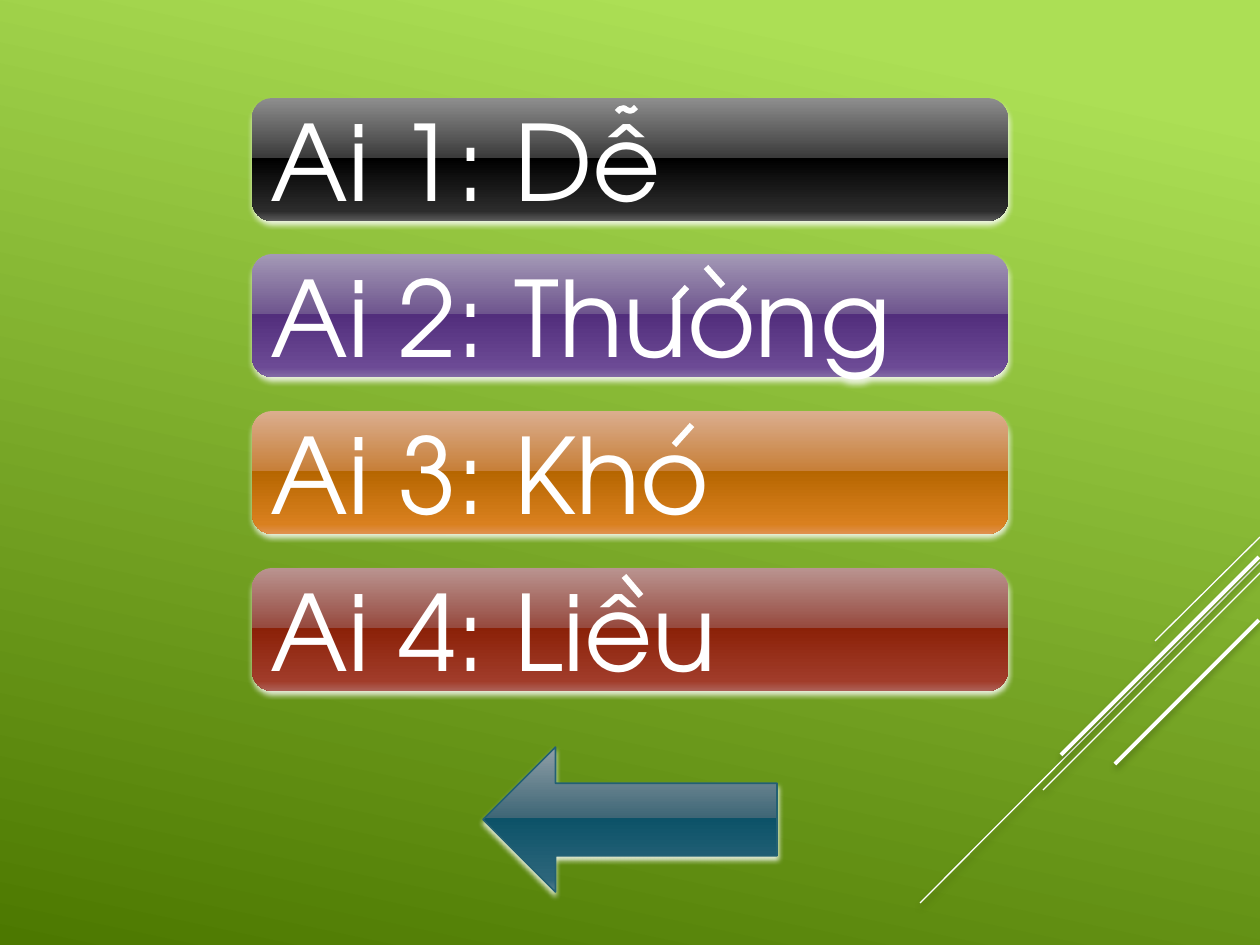
from typing import NamedTuple

from lxml import etree
from pptx import Presentation
from pptx import util as u
from pptx.dml.color import RGBColor
from pptx.enum import shapes, text
from pptx.oxml.ns import qn

PX = 914400 / 126
FONT = "TeX Gyre Adventor"
WHITE = "FFFFFF"
GLOSS_STOPS = (0, 49, 49, 92, 100)


class Level(NamedTuple):
    label: str
    top: int
    gloss: str


class Stroke(NamedTuple):
    points: list
    weight: float


LEVELS = [
    Level("Ai 1: Dê", 98, "8E8E8E 3A3A3A 000000 2C2C2C 5C5C5C"),
    Level("Ai 2: Thuong", 254, "A499B6 6E558E 522E7C 6C4A95 826AA4"),
    Level("Ai 3: Kho", 411, "DBAE8F C77F38 B66600 D9801F E0914F"),
    Level("Ai 4: Liêu", 568, "BA9490 96493E 8B2108 A13C2A AD6158"),
]
BACK_GLOSS = "909FA7 3E6676 0C5268 2D667B 5B7E8E"

# Vietnamese marks drawn over the labels
MARKS = [
    Stroke([(617, 112), (620, 109), (624, 108), (627, 110),
            (630, 111), (633, 110), (636, 107)], 3.25),  # tilde of Dễ
    Stroke([(674, 301), (687, 287)], 3.5),  # horn of ư
    Stroke([(732, 301), (745, 287)], 3.5),  # horn of ơ
    Stroke([(723, 286), (706, 267)], 3.5),  # grave of ờ
    Stroke([(674, 445), (692, 425)], 3.5),  # acute of ó
    Stroke([(641, 596), (624, 576)], 3.5),  # grave of ề
]

# Diagonal rays in the lower right corner
RAYS = [
    Stroke([(1260, 537), (1155, 641)], 0.75),
    Stroke([(1260, 562), (920, 903)], 0.75),
    Stroke([(1260, 573), (1043, 790)], 0.75),
    Stroke([(1259, 557), (1061, 755)], 2.25),
    Stroke([(1259, 620), (1115, 764)], 2.25),
]


def px(value: int) -> int:
    return round(value * PX)


def rgb(value: str) -> RGBColor:
    return RGBColor.from_string(value)


def add_colour(parent, value: str):
    return etree.SubElement(parent, qn("a:srgbClr"), val=value)


def set_gradient(fill, element, stops, angle: int) -> None:
    fill.gradient()
    gradient = element.find(".//" + qn("a:gradFill"))
    for child in list(gradient):
        gradient.remove(child)
    stop_list = etree.SubElement(gradient, qn("a:gsLst"))
    for position, colour in stops:
        stop = etree.SubElement(stop_list, qn("a:gs"), pos=str(position * 1000))
        add_colour(stop, colour)
    etree.SubElement(gradient, qn("a:lin"), ang=str(angle * 60000), scaled="0")


def add_shadow(element, colour: str, alpha: int, blur: float) -> None:
    """Cast a soft shadow 2 pt straight down."""
    properties = element.find(qn("p:spPr"))
    effects = properties.find(qn("a:effectLst"))
    if effects is None:
        effects = etree.SubElement(properties, qn("a:effectLst"))
    shadow = etree.SubElement(
        effects, qn("a:outerShdw"), blurRad=str(u.Pt(blur)), dist=str(u.Pt(2)),
        dir="5400000", algn="ctr", rotWithShape="0")
    etree.SubElement(add_colour(shadow, colour), qn("a:alpha"), val=str(alpha * 1000))


def set_line(line, colour: str, weight: float) -> None:
    line.color.rgb = rgb(colour)
    line.width = u.Pt(weight)


def add_glossy(slide, kind, box, gloss: str):
    shape = slide.shapes.add_shape(kind, *map(px, box))
    set_gradient(shape.fill, shape.element, zip(GLOSS_STOPS, gloss.split()), 90)
    shape.line.fill.background()
    shape.shadow.inherit = False
    add_shadow(shape.element, WHITE, 83, 3.1)
    return shape


def add_level(slide, level: Level) -> None:
    bar = add_glossy(slide, shapes.MSO_SHAPE.ROUNDED_RECTANGLE,
                     (252, level.top, 756, 123), level.gloss)
    frame = bar.text_frame
    frame.vertical_anchor = text.MSO_ANCHOR.MIDDLE
    paragraph = frame.paragraphs[0]
    paragraph.alignment = text.PP_ALIGN.LEFT
    label = paragraph.add_run()
    label.text = level.label
    for name, value in {"name": FONT, "size": u.Pt(60)}.items():
        setattr(label.font, name, value)
    label.font.color.rgb = rgb(WHITE)


def add_mark(slide, stroke: Stroke) -> None:
    start, *rest = stroke.points
    builder = slide.shapes.build_freeform(*start, scale=PX)
    builder.add_line_segments(rest, close=False)
    mark = builder.convert_to_shape()
    mark.fill.background()
    set_line(mark.line, WHITE, stroke.weight)
    mark.shadow.inherit = False


def add_ray(slide, stroke: Stroke) -> None:
    start, end = stroke.points
    ray = slide.shapes.add_connector(
        shapes.MSO_CONNECTOR.STRAIGHT, *map(px, (*start, *end)))
    set_line(ray.line, WHITE, stroke.weight)
    add_shadow(ray.element, "233800", 38, 4)


def main() -> None:
    deck = Presentation()
    deck.slide_width, deck.slide_height = px(1260), px(945)
    slide = deck.slides.add_slide(deck.slide_layouts[6])
    set_gradient(slide.background.fill, slide.element,
                 [(10, "ACDF55"), (100, "4C7800")], 102)

    for ray in RAYS:
        add_ray(slide, ray)
    for level in LEVELS:
        add_level(slide, level)
    for mark in MARKS:
        add_mark(slide, mark)

    # Back arrow
    back = add_glossy(slide, shapes.MSO_SHAPE.LEFT_ARROW,
                      (483, 747, 294, 145), BACK_GLOSS)
    set_line(back.line, "236073", 0.9)

    deck.save("out.pptx")


if __name__ == "__main__":
    main()
